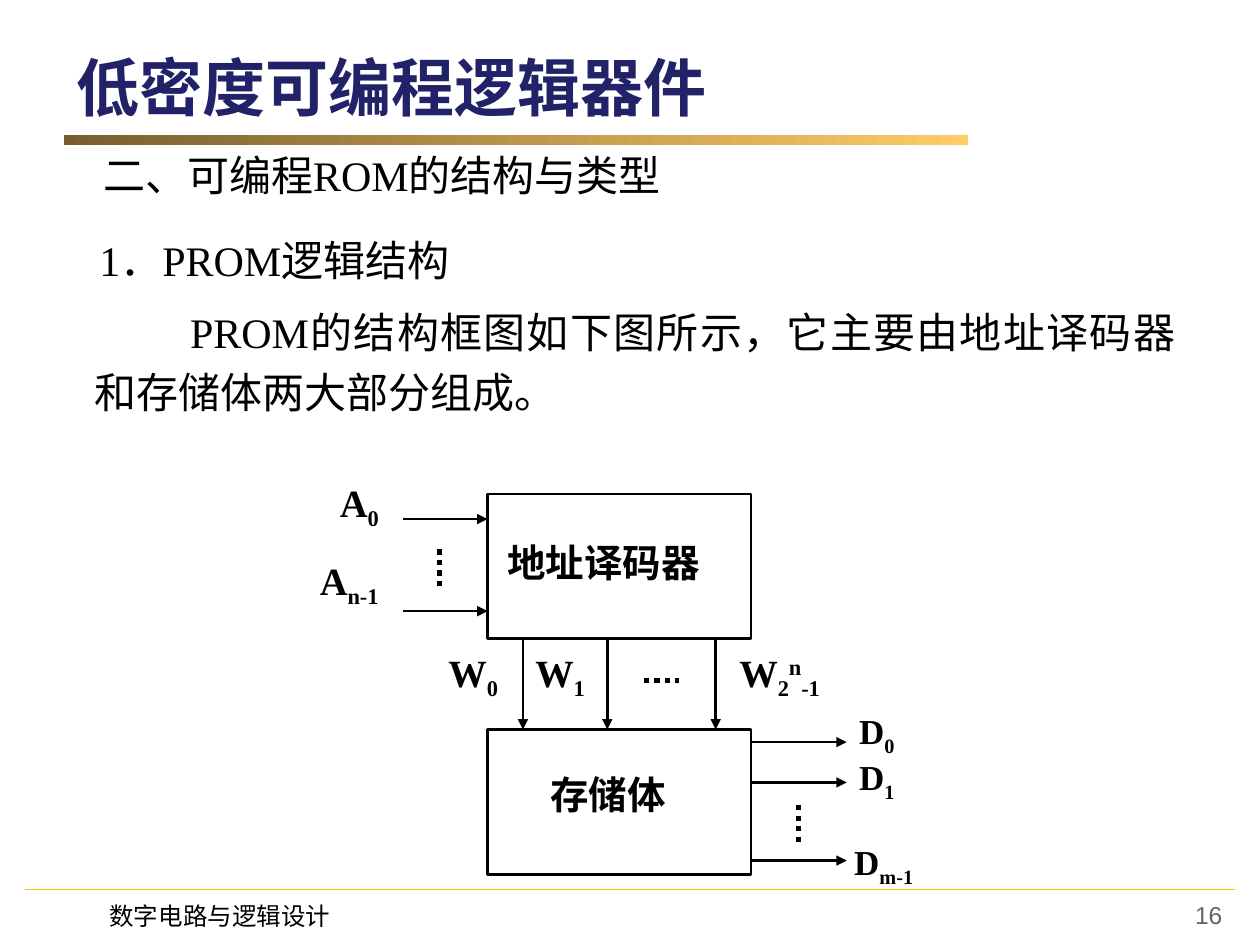
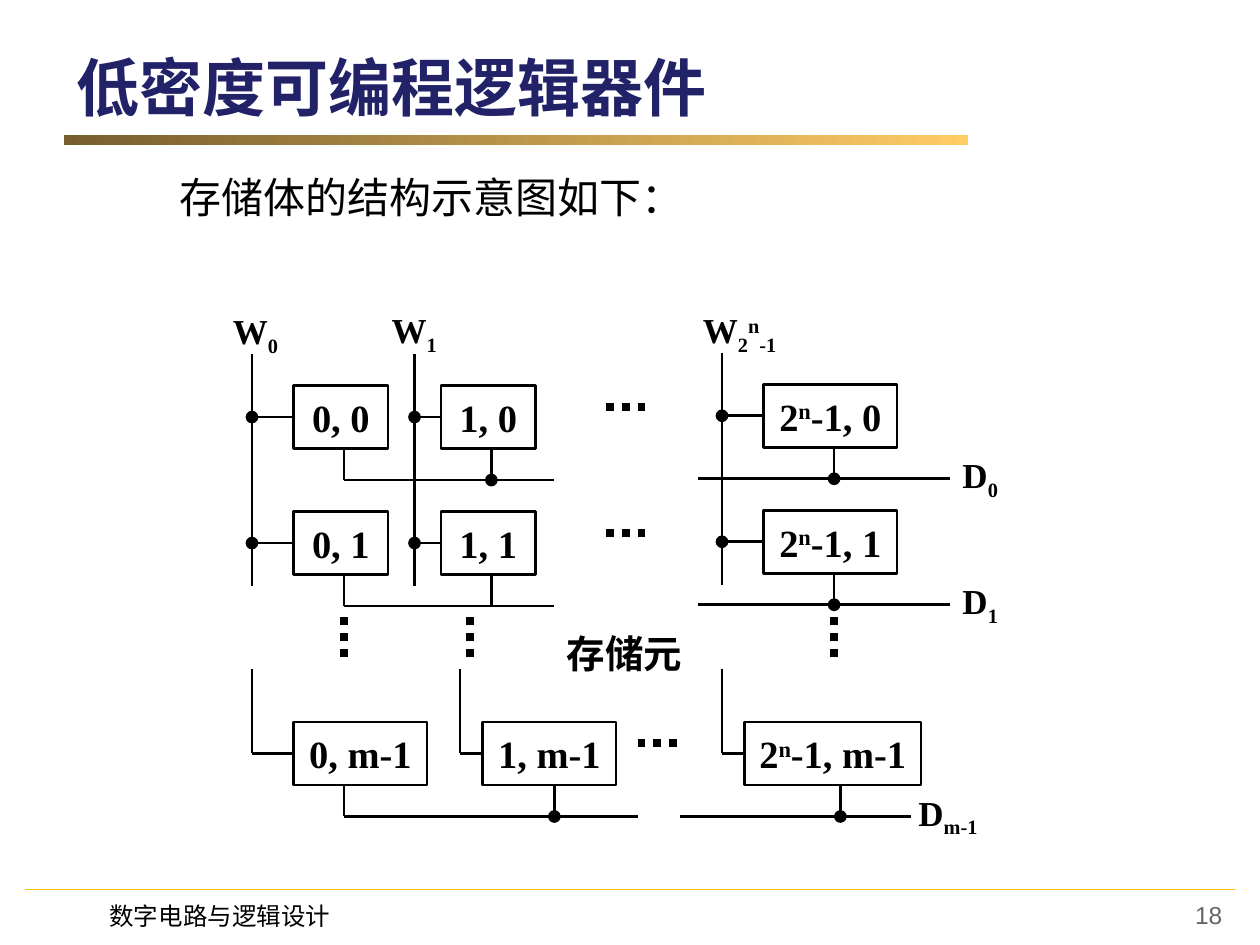
from lxml import etree
from pptx import Presentation
from pptx import util as u
from pptx.dml.color import RGBColor
from pptx.enum import dml, shapes, text
from pptx.oxml.ns import qn

NAVY = RGBColor(0x22, 0x22, 0x68)
BROWN = RGBColor(0x76, 0x5E, 0x2F)
GOLD = RGBColor(0xFF, 0xCC, 0x66)
AMBER = RGBColor(0xFF, 0xC0, 0x00)
GRAY = RGBColor(0x65, 0x65, 0x65)
BLACK = RGBColor(0, 0, 0)

SERIF, HAN, SANS = "Times New Roman", "Noto Sans CJK SC", "Arial"
TITLE = "低密度可编程逻辑器件"
FOOTER = "数字电路与逻辑设计"
BASELINES = {"_": "-25000", "^": "30000"}
ALIGN = text.PP_ALIGN
DOT = 0.08


def inch(value):
    return u.Cm(value * 2.54)


def put_text(tf, content, size=22, font=SERIF, color=BLACK, bold=False,
             align=ALIGN.JUSTIFY, spacing=None, indent=0):
    """Fill a frame; "|" parts runs, a leading _ or ^ makes one sub- or superscript."""
    p = tf.paragraphs[0]
    p.alignment = align
    if spacing:
        p.line_spacing = spacing
    if indent:
        p._p.get_or_add_pPr().set("indent", str(inch(indent)))
    for part in content.split("|"):
        r = p.add_run()
        r.text = part.lstrip("_^")
        r.font.size, r.font.bold, r.font.name = u.Pt(size), bold, font
        r.font.color.rgb = color
        rPr = r._r.get_or_add_rPr()
        etree.SubElement(rPr, qn("a:ea")).set("typeface", HAN)
        if part[0] in BASELINES:
            rPr.set("baseline", BASELINES[part[0]])


class Deck:
    def __init__(self):
        self.prs = Presentation()
        self.prs.slide_width, self.prs.slide_height = inch(10), inch(7.5)
        self.s = None

    def new_slide(self, number):
        self.s = self.prs.slides.add_slide(self.prs.slide_layouts[5])
        self.line(0.2, 7.06, 9.8, 7.06, color=AMBER, width=0.75)
        band = self.shape(0.51, 1.07, 7.17, 0.08)
        band.line.fill.background()
        band.fill.gradient()
        band.fill.gradient_angle = 0
        for stop, color, pos in zip(band.fill.gradient_stops, (BROWN, GOLD), (0, 1)):
            stop.color.rgb, stop.position = color, pos

        title = self.s.shapes.title
        title.left, title.top = inch(0.51), inch(0.3)
        title.width, title.height = inch(8.98), inch(0.77)
        title.text_frame.vertical_anchor = text.MSO_ANCHOR.MIDDLE
        put_text(title.text_frame, TITLE, size=36, font=HAN, color=NAVY,
                 bold=True, align=ALIGN.LEFT)
        self.text(7.47, 7.09, 2.33, 0.52, str(number), size=14, font=SANS,
                  color=GRAY, align=ALIGN.RIGHT)
        self.text(0.77, 7.1, 2.09, 0.34, FOOTER, size=14, font=HAN, align=ALIGN.LEFT)

    def text(self, x, y, w, h, content, wrap=True, **style):
        tf = self.s.shapes.add_textbox(inch(x), inch(y), inch(w), inch(h)).text_frame
        tf.word_wrap = wrap
        put_text(tf, content, **style)

    def label(self, x, y, w, content, size=22):
        self.text(x, y, w, 0.47 if size == 22 else 0.43, content,
                  wrap=False, size=size, bold=True)

    def shape(self, x, y, w, h, kind=shapes.MSO_SHAPE.RECTANGLE):
        sp = self.s.shapes.add_shape(kind, inch(x), inch(y), inch(w), inch(h))
        sp.shadow.inherit = False
        sp.fill.background()
        sp.line.color.rgb, sp.line.width = BLACK, u.Pt(1.5)
        return sp

    def dot(self, x, y):
        sp = self.shape(x - DOT / 2, y - DOT / 2, DOT, DOT, shapes.MSO_SHAPE.OVAL)
        sp.fill.solid()
        sp.fill.fore_color.rgb = BLACK

    def line(self, x1, y1, x2, y2, color=BLACK, width=1.5, arrow=False, dotted=False):
        cn = self.s.shapes.add_connector(shapes.MSO_CONNECTOR.STRAIGHT,
                                         inch(x1), inch(y1), inch(x2), inch(y2))
        cn.line.color.rgb, cn.line.width = color, u.Pt(width)
        if dotted:
            cn.line.dash_style = dml.MSO_LINE.ROUND_DOT
        if arrow:
            etree.SubElement(cn.line._get_or_add_ln(), qn("a:tailEnd")).set("type", "triangle")
        etree.SubElement(cn._element.spPr, qn("a:effectLst"))

    def cell(self, x, y, w, content, word_x, stem_x):
        """Memory cell with its feed from the word line and its stem to the data line."""
        sp = self.shape(x, y, w, 0.5)
        tf = sp.text_frame
        tf.margin_left = tf.margin_right = 0
        tf.word_wrap = False
        tf.vertical_anchor = text.MSO_ANCHOR.MIDDLE
        put_text(tf, content, bold=True, align=ALIGN.CENTER)
        self.line(word_x, y + 0.25, x, y + 0.25)
        self.line(stem_x, y + 0.5, stem_x, y + 0.75)


def prom_structure(deck):
    deck.new_slide(16)
    deck.text(0.72, 1.14, 5.08, 0.5, "二、可编程ROM的结构与类型", size=24)
    deck.text(0.69, 1.81, 3.77, 0.5, "1．PROM逻辑结构", size=24)
    deck.text(0.65, 2.3, 8.78, 1.06,
              "PROM的结构框图如下图所示，它主要由地址译码器和存储体两大部分组成。",
              size=24, spacing=1.2, indent=0.76)

    left, width, height = 3.87, 2.09, 1.15
    right = left + width
    decoder_y, memory_y = 3.92, 5.79
    for y in (decoder_y, memory_y):
        deck.shape(left, y, width, height)
    deck.label(3.93, 4.23, 1.74, "地址译码器")
    deck.label(4.27, 6.07, 1.12, "存储体")

    for x in (4.15, 4.82, 5.68):
        deck.line(x, decoder_y + height, x, memory_y, arrow=True)
    for y in (4.12, 4.85):
        deck.line(3.2, y, left, y, arrow=True)
    for y in (5.89, 6.21, 6.83):
        deck.line(right, y, 6.72, y, arrow=True)
    for ellipsis in ((3.49, 4.36, 3.49, 4.67), (5.11, 5.4, 5.39, 5.4),
                     (6.34, 6.39, 6.34, 6.7)):
        deck.line(*ellipsis, width=3, dotted=True)

    for x, y, w, name in ((2.6, 3.75, 0.53, "A|_0"), (2.44, 4.37, 0.71, "A|_n-1"),
                          (3.46, 5.1, 0.61, "W|_0"), (4.15, 5.1, 0.61, "W|_1"),
                          (5.77, 5.1, 0.9, "W|_2|^n|_-1")):
        deck.label(x, y, w, name)
    for x, y, w, name in ((6.72, 5.58, 0.49, "D|_0"), (6.72, 5.95, 0.49, "D|_1"),
                          (6.68, 6.62, 0.7, "D|_m-1")):
        deck.label(x, y, w, name, size=20)


def memory_matrix(deck):
    deck.new_slide(18)
    deck.text(1.33, 1.31, 4.2, 0.5, "存储体的结构示意图如下：", size=24, wrap=False)

    # columns: word line, cell left, cell width, stem, top of cells, index
    columns = ((2, 2.33, 0.75, 2.73, 3.06, "0"),
               (3.29, 3.5, 0.75, 3.9, 3.06, "1"),
               (5.73, 6.06, 1.06, 6.62, 3.05, "2|^n|-1"))
    for word_x, x, w, stem_x, top, index in columns:
        deck.line(word_x, top - 0.25, word_x, top + 1.59)
        for row in range(2):
            y = top + row
            deck.cell(x, y, w, f"{index}, {row}", word_x, stem_x)
            deck.dot(word_x, y + 0.25)

    for row in range(2):
        deck.line(2.73, 3.81 + row, 4.4, 3.81 + row)
        deck.line(5.54, 3.8 + row, 7.54, 3.8 + row)
        deck.dot(6.62, 3.8 + row)
        deck.label(7.54, 3.55 + row, 0.49, f"D|_{row}", size=20)
    deck.dot(3.9, 3.81)

    last_y = 5.73
    for word_x, x, w, stem_x, index in ((2, 2.33, 1.06, 2.73, "0"),
                                        (3.65, 3.83, 1.06, 4.4, "1"),
                                        (5.73, 5.91, 1.4, 6.67, "2|^n|-1")):
        deck.line(word_x, 5.31, word_x, last_y + 0.25)
        deck.cell(x, last_y, w, f"{index}, m-1", word_x, stem_x)
    for x1, x2, dot_x in ((2.73, 5.06, 4.4), (5.4, 7.23, 6.67)):
        deck.line(x1, 6.48, x2, 6.48)
        deck.dot(dot_x, 6.48)

    for x, y, w, name in ((1.75, 2.41, 0.57, "W|_0"), (3.01, 2.4, 0.57, "W|_1"),
                          (5.48, 2.4, 0.82, "W|_2|^n|_-1"), (7.19, 6.23, 0.7, "D|_m-1")):
        deck.label(x, y, w, name, size=20)
    deck.label(4.4, 4.95, 1.12, "存储元")

    for x in (2.73, 3.73, 6.62):
        deck.line(x, 4.9, x, 5.23, width=4.5, dotted=True)
    for x, y in ((4.81, 3.23), (4.81, 4.23), (5.06, 5.9)):
        deck.line(x, y, x + 0.34, y, width=4.5, dotted=True)


def main():
    deck = Deck()
    prom_structure(deck)
    memory_matrix(deck)
    deck.prs.save("out.pptx")


if __name__ == "__main__":
    main()
